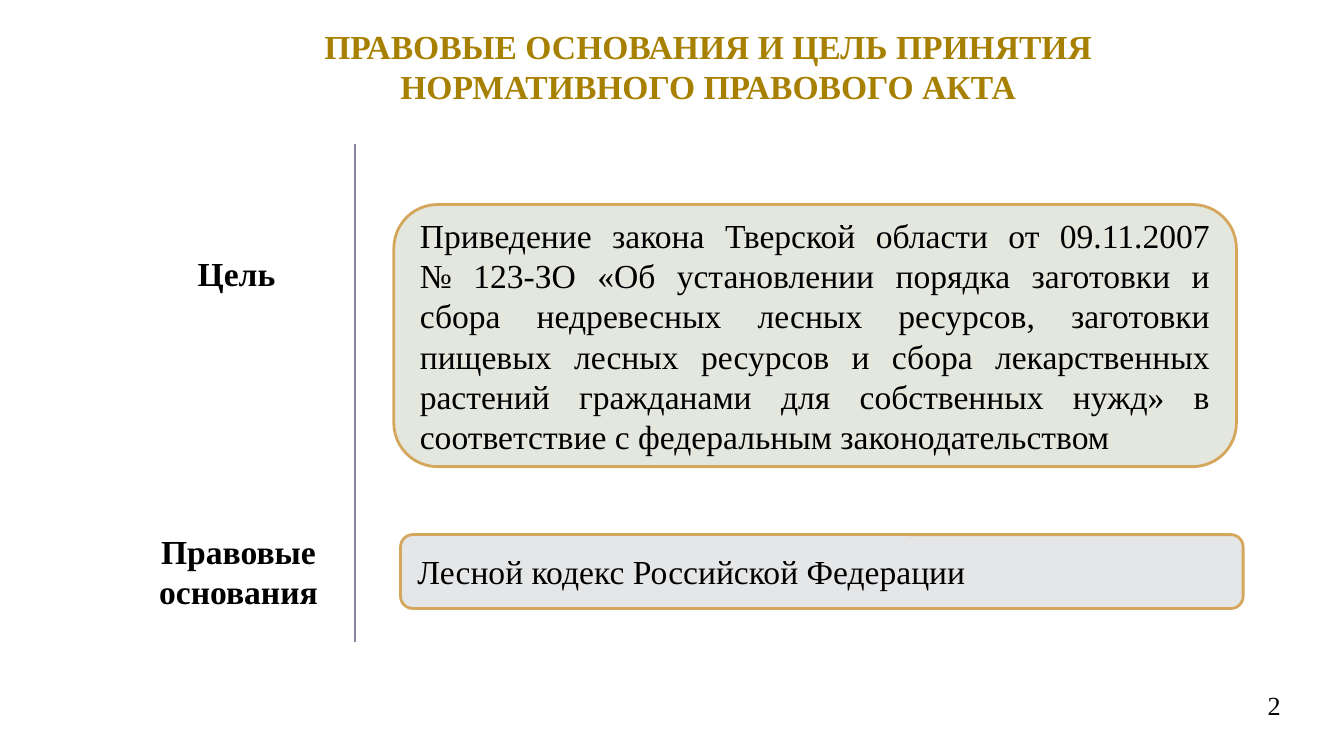
"""Build the slide on the legal grounds and purpose of a regulatory act."""
from lxml import etree
from pptx import Presentation
from pptx import util as u
from pptx.dml import color
from pptx.enum import shapes, text
from pptx.oxml import ns

COLORS = {"title": "A88000", "text": "000000", "border": "D5A75D",
          "goal": "E3E7DE", "grounds": "E5E6E8", "divider": "8985A1"}
FONT = "Times New Roman"
ALIGN = text.PP_ALIGN
ANCHOR = text.MSO_ANCHOR


def rgb(name):
    return color.RGBColor.from_string(COLORS[name])


def write(shape, content, align, size=18, bold=False, ink="text",
          anchor=ANCHOR.TOP, margins=(5.04, 2.88)):
    frame = shape.text_frame
    frame.word_wrap = True
    frame.auto_size = text.MSO_AUTO_SIZE.NONE
    frame.vertical_anchor = anchor
    frame.margin_left = frame.margin_right = u.Pt(margins[0])
    frame.margin_top = frame.margin_bottom = u.Pt(margins[1])
    paragraph = frame.paragraphs[0]
    paragraph.text = content
    paragraph.alignment = align
    paragraph.font.name = FONT
    paragraph.font.size = u.Pt(size)
    paragraph.font.bold = bold
    paragraph.font.color.rgb = rgb(ink)


presentation = Presentation()
presentation.slide_width = u.Pt(720)
presentation.slide_height = u.Pt(405)
slide = presentation.slides.add_slide(presentation.slide_layouts[5])

title = slide.shapes.title
title.left, title.top, title.width, title.height = map(u.Pt, (78.5, 10.8, 602, 57.6))
write(title, "ПРАВОВЫЕ ОСНОВАНИЯ И ЦЕЛЬ ПРИНЯТИЯ\vНОРМАТИВНОГО ПРАВОВОГО АКТА",
      ALIGN.CENTER, bold=True, ink="title")

panels = [
    ("goal", (211, 109.6, 451.4, 140.4), ALIGN.JUSTIFY,
     "Приведение закона Тверской области от 09.11.2007\v"
     "№ 123-ЗО «Об установлении порядка заготовки и сбора недревесных лесных "
     "ресурсов, заготовки пищевых лесных ресурсов и сбора лекарственных растений "
     "гражданами для собственных нужд» в соответствие с федеральным законодательством"),
    ("grounds", (214.6, 286.4, 451.4, 39.6), ALIGN.LEFT,
     "Лесной кодекс Российской Федерации"),
]
for fill, box, align, content in panels:
    panel = slide.shapes.add_shape(shapes.MSO_SHAPE.ROUNDED_RECTANGLE, *map(u.Pt, box))
    panel.shadow.inherit = False
    panel.fill.solid()
    panel.fill.fore_color.rgb = rgb(fill)
    panel.line.color.rgb = rgb("border")
    panel.line.width = u.Pt(1.5)
    write(panel, content, align, anchor=ANCHOR.MIDDLE, margins=(7.2, 3.6))

labels = [
    ("Цель", (77.8, 132.5, 97.9, 27.4), ALIGN.CENTER, 18, True),
    ("Правовые основания", (77.8, 281.5, 100, 49), ALIGN.CENTER, 18, True),
    ("2", (529.2, 366.5, 162, 21.6), ALIGN.RIGHT, 14, False),
]
for content, box, align, size, bold in labels:
    label = slide.shapes.add_textbox(*map(u.Pt, box))
    write(label, content, align, size, bold)

divider = slide.shapes.add_connector(
    shapes.MSO_CONNECTOR.STRAIGHT, u.Pt(190.1), u.Pt(77), u.Pt(190.1), u.Pt(344.2))
divider.line.color.rgb = rgb("divider")
divider.line.width = u.Pt(0.75)
etree.SubElement(divider._element.spPr, ns.qn("a:effectLst"))

presentation.save("out.pptx")
